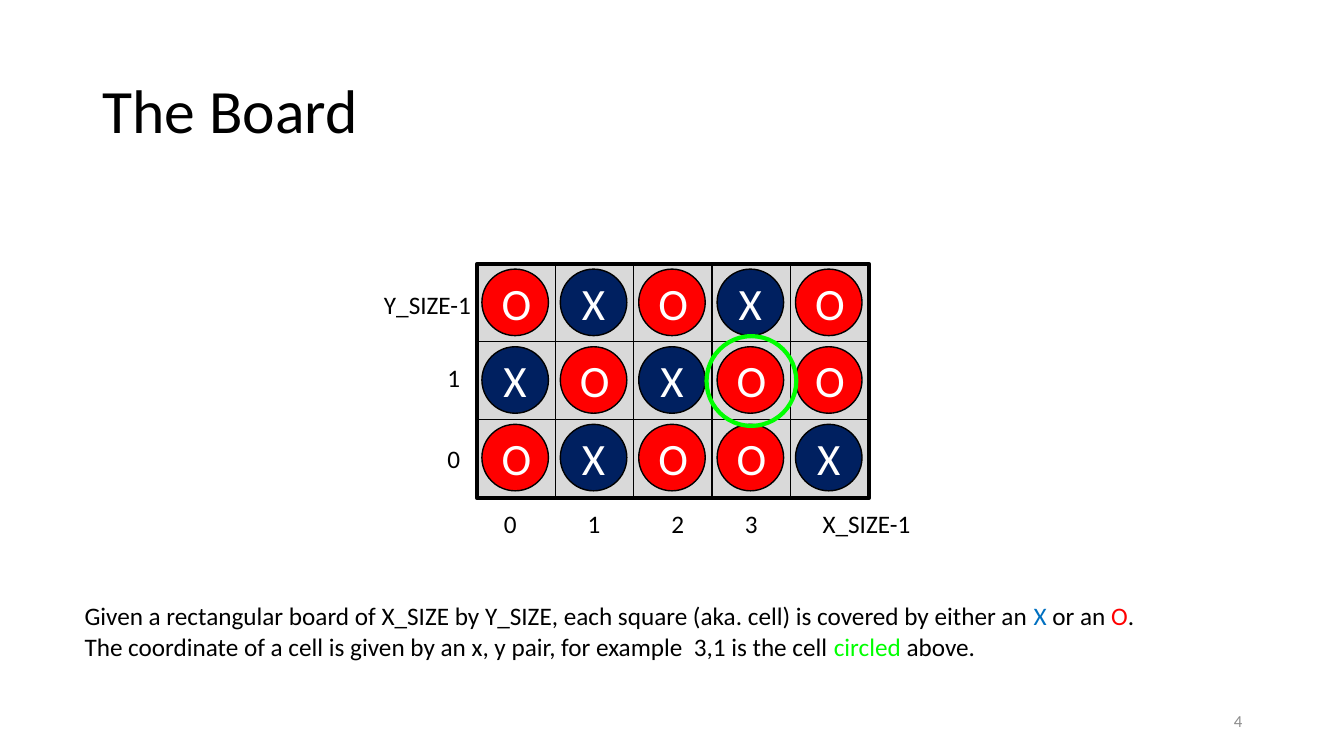
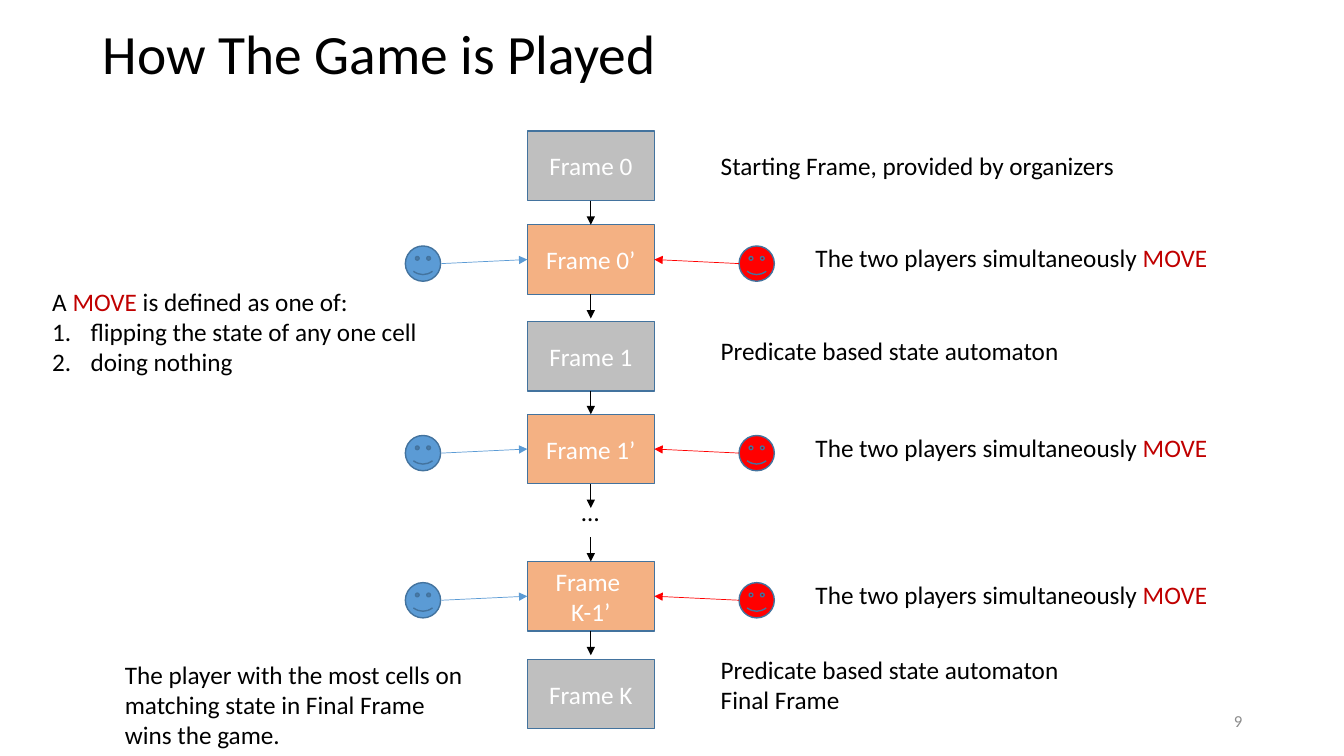
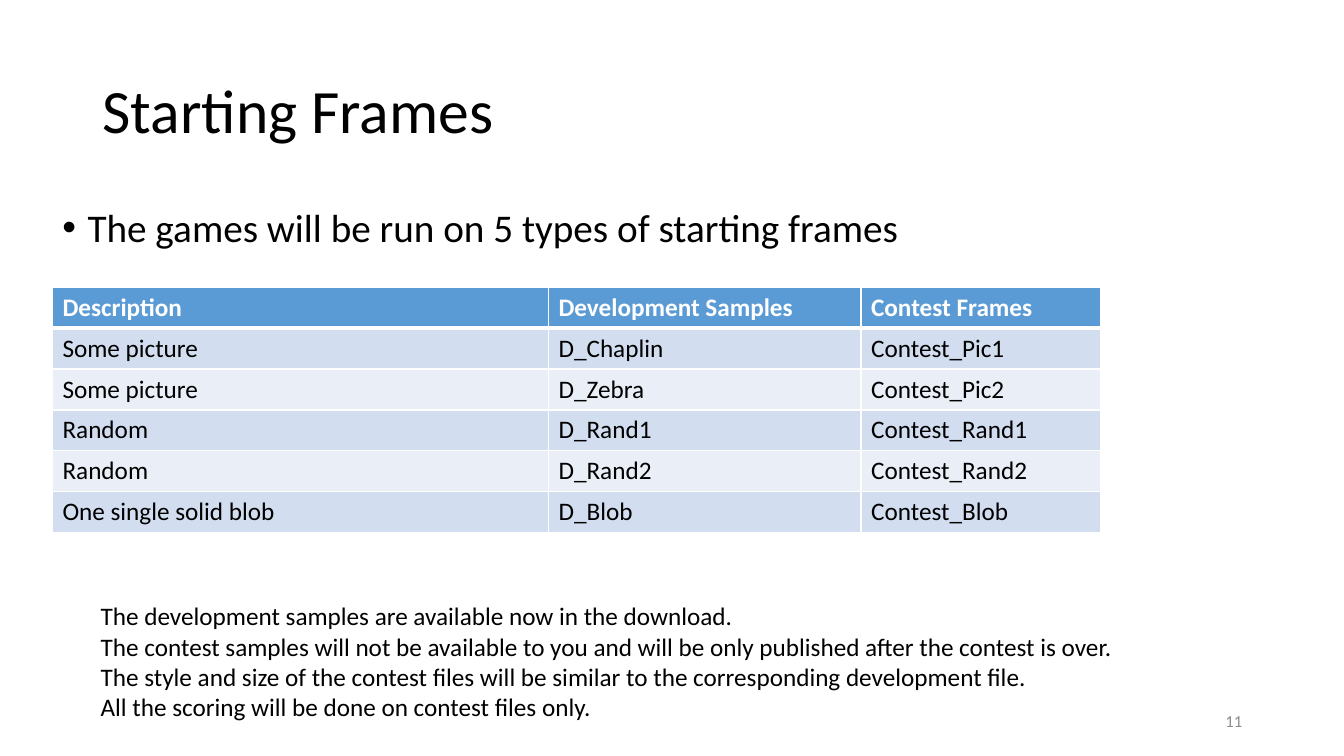
from dataclasses import dataclass
from typing import Any, NamedTuple

from lxml import etree
from pptx import Presentation
from pptx.dml.color import RGBColor
from pptx.enum.shapes import MSO_CONNECTOR, MSO_SHAPE
from pptx.enum.text import MSO_ANCHOR, MSO_AUTO_SIZE, PP_ALIGN
from pptx.oxml.ns import qn
from pptx.util import Inches, Pt

RECT, OVAL, SMILEY = MSO_SHAPE.RECTANGLE, MSO_SHAPE.OVAL, MSO_SHAPE.SMILEY_FACE
STRAIGHT = MSO_CONNECTOR.STRAIGHT
LEFT, CENTER, RIGHT = PP_ALIGN.LEFT, PP_ALIGN.CENTER, PP_ALIGN.RIGHT
TOP, MIDDLE = MSO_ANCHOR.TOP, MSO_ANCHOR.MIDDLE
GROW, FIXED = MSO_AUTO_SIZE.SHAPE_TO_FIT_TEXT, MSO_AUTO_SIZE.NONE
SIDE_TOP, SIDE_LEFT, SIDE_BOTTOM, SIDE_RIGHT = range(4)

BLACK = RGBColor(0x00, 0x00, 0x00)
WHITE = RGBColor(0xFF, 0xFF, 0xFF)
GRAY = RGBColor(0x8C, 0x8C, 0x8C)
CELL_GRAY = RGBColor(0xD9, 0xD9, 0xD9)
FRAME_GRAY = RGBColor(0xBF, 0xBF, 0xBF)
NAVY = RGBColor(0x00, 0x20, 0x60)
RED = RGBColor(0xFF, 0x00, 0x00)
DARK_RED = RGBColor(0xC0, 0x00, 0x00)
GREEN = RGBColor(0x00, 0xFF, 0x00)
LINK_BLUE = RGBColor(0x00, 0x70, 0xC0)
BLUE = RGBColor(0x5B, 0x9B, 0xD5)
EDGE_BLUE = RGBColor(0x43, 0x73, 0x9E)
ORANGE = RGBColor(0xF4, 0xB1, 0x83)
BAND_DARK = RGBColor(0xD2, 0xDE, 0xEF)
BAND_LIGHT = RGBColor(0xEA, 0xEF, 0xF7)

FONT = "Calibri"


class Box(NamedTuple):
    x: float
    y: float
    w: float
    h: float

    def emu(self) -> list[int]:
        return [Inches(v) for v in self]


class Run(NamedTuple):
    text: str
    color: RGBColor


@dataclass
class Para:
    runs: list[str | Run]
    bullet: str = ""
    indent: float = 0


@dataclass
class Style:
    size: float = 18
    color: RGBColor = BLACK
    bold: bool = False
    align: Any = LEFT
    spacing: float | None = None
    before: float | None = None


@dataclass
class Frame:
    top: float
    label: list[str]
    note_top: float
    note: list[str | Para]
    is_move: bool = False


BODY = Style()
TITLE = Style(size=44, spacing=0.9)
NUMBER = Style(size=12, color=GRAY, align=RIGHT)


# Text and shape helpers
def set_all(target: Any, values: dict[str, Any]) -> None:
    for name, value in values.items():
        setattr(target, name, value)


def add_bullet(p: Any, para: Para) -> None:
    pPr = p._p.get_or_add_pPr()
    pPr.set("marL", str(Inches(para.indent)))
    pPr.set("indent", str(-Inches(para.indent)))
    if para.bullet == "1.":
        etree.SubElement(pPr, qn("a:buAutoNum"), type="arabicPeriod")
    else:
        etree.SubElement(pPr, qn("a:buFont"), typeface="Arial")
        etree.SubElement(pPr, qn("a:buChar"), char=para.bullet)


def write(tf: Any, paras: list[str | Para], style: Style = BODY) -> None:
    for i, item in enumerate(paras):
        para = item if isinstance(item, Para) else Para([item])
        p = tf.paragraphs[0] if i == 0 else tf.add_paragraph()
        p.alignment = style.align
        if style.spacing:
            p.line_spacing = style.spacing
        if style.before:
            p.space_before = Pt(style.before)
        if para.bullet:
            add_bullet(p, para)
        for part in para.runs:
            run = part if isinstance(part, Run) else Run(part, style.color)
            r = p.add_run()
            r.text = run.text
            set_all(r.font, {"name": FONT, "size": Pt(style.size), "bold": style.bold})
            r.font.color.rgb = run.color


def add_text(s: Any, box: Box, paras: list[str | Para], style: Style = BODY,
             anchor: Any = TOP, wrap: bool = True, fit: Any = GROW) -> None:
    tf = s.shapes.add_textbox(*box.emu()).text_frame
    set_all(tf, {"word_wrap": wrap, "auto_size": fit, "vertical_anchor": anchor})
    write(tf, paras, style)


def add_shape(s: Any, kind: Any, box: Box, fill: RGBColor | None,
              line: RGBColor, width: float = 1) -> Any:
    sp = s.shapes.add_shape(kind, *box.emu())
    sp.shadow.inherit = False
    if fill is None:
        sp.fill.background()
    else:
        sp.fill.solid()
        sp.fill.fore_color.rgb = fill
    sp.line.color.rgb = line
    sp.line.width = Pt(width)
    return sp


def add_arrow(s: Any, start: tuple[float, float], end: tuple[float, float],
              color: RGBColor = BLACK) -> Any:
    line = s.shapes.add_connector(STRAIGHT, *[Inches(v) for v in (*start, *end)])
    line.line.color.rgb = color
    line.line.width = Pt(0.5)
    etree.SubElement(line.line._get_or_add_ln(), qn("a:tailEnd"), type="triangle")
    etree.SubElement(line._element.spPr, qn("a:effectLst"))
    return line


def new_slide(prs: Any, title: str, number: int, title_height: float = 1.45,
              title_size: float = 44) -> Any:
    s = prs.slides.add_slide(prs.slide_layouts[6])
    style = Style(size=title_size, spacing=TITLE.spacing)
    add_text(s, Box(0.92, 0.4, 11.5, title_height), [title], style, MIDDLE, fit=FIXED)
    add_text(s, Box(9.42, 6.95, 3, 0.4), [str(number)], NUMBER, MIDDLE, fit=FIXED)
    return s


# Slide: the board
BOARD = Box(4.73, 2.62, 3.89, 2.32)
ROWS = ["OXOXO", "XOXOO", "OXOOX"]
CELL, DISC, DISC_INSET, RING = 0.78, 0.66, 0.05, 0.89
DISC_FILL = {"O": RED, "X": NAVY}
AXIS_LABELS = [
    ("0", 4.9, 4.99, 0.33), ("1", 5.73, 4.99, 0.33), ("2", 6.56, 4.99, 0.33),
    ("3", 7.29, 4.99, 0.33), ("X_SIZE-1", 8.06, 4.99, 1.08),
    ("0", 4.34, 4.35, 0.33), ("1", 4.34, 3.55, 0.33), ("Y_SIZE-1", 3.71, 2.82, 1.07),
]


def cell_origin(col: int, row: int) -> tuple[float, float]:
    return (BOARD.x + col * (BOARD.w - CELL) / (len(ROWS[0]) - 1),
            BOARD.y + row * (BOARD.h - CELL) / (len(ROWS) - 1))


def build_board(prs: Any) -> None:
    s = new_slide(prs, "The Board", 4)
    mark_style = Style(size=32, color=WHITE, align=CENTER)
    for row, marks in enumerate(ROWS):
        for col, mark in enumerate(marks):
            x, y = cell_origin(col, row)
            add_shape(s, RECT, Box(x, y, CELL, CELL), CELL_GRAY, BLACK)
            disc = Box(x + DISC_INSET, y + DISC_INSET, DISC, DISC)
            sp = add_shape(s, OVAL, disc, DISC_FILL[mark], BLACK)
            write(sp.text_frame, [mark], mark_style)
    add_shape(s, RECT, BOARD, None, BLACK, 3)

    # Ring around cell 3,1
    x, y = cell_origin(3, 1)
    shift = (CELL - RING) / 2
    add_shape(s, OVAL, Box(x + shift, y + shift, RING, RING), None, GREEN, 3)

    for label, left, top, width in AXIS_LABELS:
        add_text(s, Box(left, top, width, 0.4), [label], wrap=False)
    add_text(s, Box(0.74, 5.91, 10.87, 0.71), [
        Para(["Given a rectangular board of X_SIZE by Y_SIZE, each square (aka. cell) "
              "is covered by either an ", Run("X", LINK_BLUE), " or an ",
              Run("O", RED), "."]),
        Para(["The coordinate of a cell is given by an x, y pair, for example  3,1 "
              "is the cell ", Run("circled", GREEN), " above."]),
    ], wrap=False)


# Slide: how the game is played
MOVE = Run("MOVE", DARK_RED)
MOVE_NOTE: list[str | Para] = [Para(["The two players simultaneously ", MOVE])]
AUTOMATON = "Predicate based state automaton"
FRAME_X, FRAME_W, FRAME_H = 5.23, 1.26, 0.69
FRAME_MID = FRAME_X + FRAME_W / 2
ARROW, FACE = 0.24, 0.35
FRAMES = [
    Frame(1.3, ["Frame 0"], 1.44, ["Starting Frame, provided by organizers"]),
    Frame(2.23, ["Frame 0’"], 2.36, MOVE_NOTE, True),
    Frame(3.19, ["Frame 1"], 3.28, [AUTOMATON]),
    Frame(4.11, ["Frame 1’"], 4.24, MOVE_NOTE, True),
    Frame(5.57, ["Frame ", "K-1’"], 5.7, MOVE_NOTE, True),
    Frame(6.54, ["Frame K"], 6.44, [AUTOMATON, "Final Frame"]),
]


def add_players(s: Any, frame: Frame, sp: Any) -> None:
    top = frame.top + 0.21
    for face_x, start_x, end_x, side, color in (
            (4.02, 4.38, FRAME_X, SIDE_LEFT, BLUE),
            (7.33, 7.33, FRAME_X + FRAME_W, SIDE_RIGHT, RED)):
        add_shape(s, SMILEY, Box(face_x, top, FACE, FACE), color, EDGE_BLUE)
        line = add_arrow(s, (start_x, top + FACE / 2),
                         (end_x, frame.top + FRAME_H / 2), color)
        line.end_connect(sp, side)


def build_game(prs: Any) -> None:
    s = new_slide(prs, "How The Game is Played", 9, 0.32, 39.6)
    label_style = Style(color=WHITE, align=CENTER)
    boxes = []
    for frame in FRAMES:
        sp = add_shape(s, RECT, Box(FRAME_X, frame.top, FRAME_W, FRAME_H),
                       ORANGE if frame.is_move else FRAME_GRAY, EDGE_BLUE)
        write(sp.text_frame, frame.label, label_style)
        boxes.append(sp)
        if frame.is_move:
            add_players(s, frame, sp)
        note_x, note_w = (7.99, 5.27) if frame.is_move else (7.05, 5.27)
        note_h = 0.1 + 0.3 * len(frame.note)
        add_text(s, Box(note_x, frame.note_top, note_w, note_h), frame.note)

    # Arrows down the chain; those after a move stop short of the next frame
    for i, frame in enumerate(FRAMES[:-1]):
        bottom = frame.top + FRAME_H
        line = add_arrow(s, (FRAME_MID, bottom), (FRAME_MID, bottom + ARROW))
        line.begin_connect(boxes[i], SIDE_BOTTOM)
        if not frame.is_move:
            line.end_connect(boxes[i + 1], SIDE_TOP)
    last_move = FRAMES[4].top
    line = add_arrow(s, (FRAME_MID, last_move - ARROW), (FRAME_MID, last_move))
    line.end_connect(boxes[4], SIDE_TOP)
    add_text(s, Box(5.67, 4.87, 0.38, 0.4), ["…"], wrap=False)

    # Rules on the left
    add_text(s, Box(1.14, 6.49, 3.65, 1.01), [
        "The player with the most cells on",
        "matching state in Final Frame",
        "wins the game.",
    ], wrap=False)
    add_text(s, Box(0.42, 2.79, 3.86, 1.01), [
        Para(["A ", MOVE, " is defined as one of:"]),
        Para(["flipping the state of any one cell"], "1.", 0.38),
        Para(["doing nothing"], "1.", 0.38),
    ], wrap=False)


# Slide: starting frames
COLUMNS = [4.92, 3.1, 2.38]
SAMPLES = [
    ("Description", "Development Samples", "Contest Frames"),
    ("Some picture", "D_Chaplin", "Contest_Pic1"),
    ("Some picture", "D_Zebra", "Contest_Pic2"),
    ("Random", "D_Rand1", "Contest_Rand1"),
    ("Random", "D_Rand2", "Contest_Rand2"),
    ("One single solid blob", "D_Blob", "Contest_Blob"),
]


def set_borders(cell: Any, widths: dict[str, float]) -> None:
    tcPr = cell._tc.get_or_add_tcPr()
    for i, (tag, width) in enumerate(widths.items()):
        ln = etree.Element(qn(f"a:{tag}"), w=str(Pt(width)))
        fill = etree.SubElement(ln, qn("a:solidFill"))
        etree.SubElement(fill, qn("a:srgbClr"), val=str(WHITE))
        tcPr.insert(i, ln)


def build_samples(prs: Any) -> None:
    s = new_slide(prs, "Starting Frames", 11)
    add_text(s, Box(0.52, 2.02, 11.5, 4.76),
             [Para(["The games will be run on 5 types of starting frames"], "•", 0.25)],
             Style(size=28, spacing=0.9, before=10), fit=FIXED)

    box = Box(0.52, 2.85, sum(COLUMNS), 2.43)
    table = s.shapes.add_table(len(SAMPLES), len(COLUMNS), *box.emu()).table
    for column, width in zip(table.columns, COLUMNS):
        column.width = Inches(width)
    for row, values in enumerate(SAMPLES):
        header = row == 0
        band = BLUE if header else BAND_DARK if row % 2 else BAND_LIGHT
        style = Style(color=WHITE if header else BLACK, bold=header)
        borders = {"lnL": 1, "lnR": 1, "lnT": 3 if row == 1 else 1,
                   "lnB": 3 if header else 1}
        for col, value in enumerate(values):
            cell = table.cell(row, col)
            cell.fill.solid()
            cell.fill.fore_color.rgb = band
            write(cell.text_frame, [value], style)
            set_borders(cell, borders)

    add_text(s, Box(0.9, 5.91, 10.33, 1.31), [
        "The development samples are available now in the download.",
        "The contest samples will not be available to you and will be only published "
        "after the contest is over.",
        "The style and size of the contest files will be similar to the corresponding "
        "development file.",
        "All the scoring will be done on contest files only.",
    ])


def main() -> None:
    prs = Presentation()
    prs.slide_width, prs.slide_height = Inches(13.33), Inches(7.5)
    build_board(prs)
    build_game(prs)
    build_samples(prs)
    prs.save("out.pptx")


if __name__ == "__main__":
    main()
